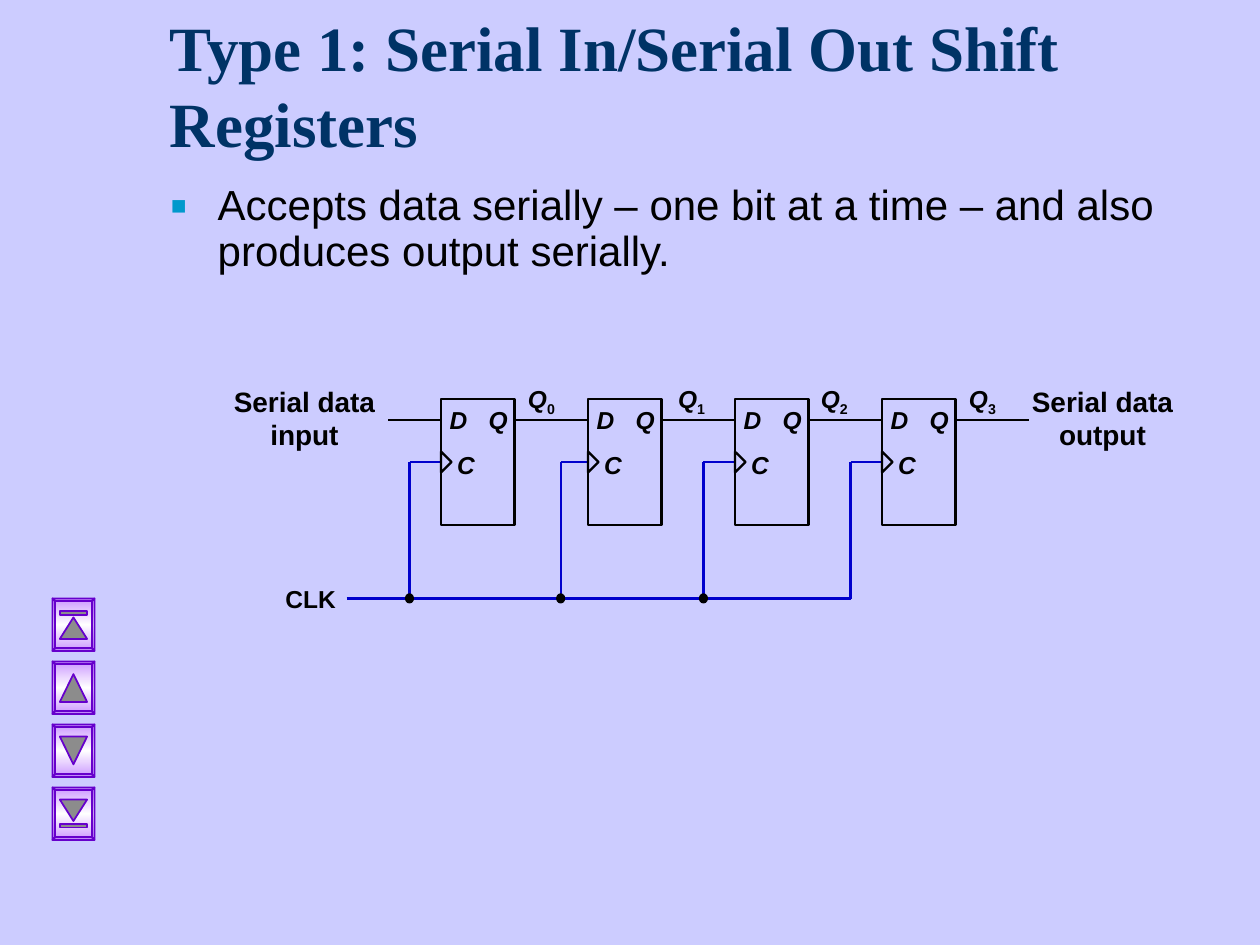
from copy import deepcopy

from lxml.etree import SubElement
from pptx import Presentation
from pptx.dml.color import RGBColor as RGB
from pptx.enum.shapes import MSO_CONNECTOR as Link, MSO_SHAPE as Kind
from pptx.enum.text import MSO_ANCHOR as Anchor, PP_ALIGN as Align
from pptx.oxml.ns import qn
from pptx.util import Inches, Pt

CELL = 1 / 12  # inches; every length below counts these cells
COLORS = {"back": "CCCCFF", "title": "003366", "ink": "000000", "bullet": "0099CC",
          "clock": "0000CC", "edge": "6600CC", "rim": "CC99FF", "shine": "FFFFFF",
          "icon": "8C8C8C"}

TITLE = "Type 1: Serial In/Serial Out Shift Registers"
BODY = "Accepts data serially – one bit at a time – and also produces output serially."
ENDS = [("Serial data input", 21), ("Serial data output", 97)]
PINS = [("D", -0.36, 38, 4.1), ("C", 0.36, 42.24, 4.1), ("Q", 3.36, 38, 4)]
TAPS = [39, 53.4, 67, 81]
OUTS = [49.1, 63.4, 77, 91.1]

# Flip-flops: first column, pitch, width, top row, height
LEFT, PITCH, WIDE, TOP, TALL = 42, 14, 7, 38, 12
DATA, PULSE, BUS = 40, 44, 57

# Buttons: outlines of each icon, from the button's top left corner
NAV_X, NAV_Y, NAV_STEP, NAV_W, NAV_H, BEVEL = 5, 57, 6, 4, 5, 0.25
ARROW = [(2, 1.2), (3.3, 3.85), (0.7, 3.85)]
SHORT = [(2, 1.8), (3.3, 3.85), (0.7, 3.85)]
BAR = [(0.7, 1.2), (3.3, 1.2), (3.3, 1.55), (0.7, 1.55)]

FONTS = {
    "title": {"name": "Times New Roman", "size": Pt(36), "bold": True},
    "body": {"name": "Arial", "size": Pt(24)},
    "end": {"name": "Arial", "size": Pt(16), "bold": True},
    "clk": {"name": "Arial", "size": Pt(14), "bold": True},
    "pin": {"name": "Arial", "size": Pt(14), "bold": True, "italic": True},
}


def cells(*nums):
    return [Inches(n * CELL) for n in nums]


def tint(name):
    return RGB.from_string(COLORS[name])


def style(font, look, color="ink"):
    for key, val in FONTS[look].items():
        setattr(font, key, val)
    font.color.rgb = tint(color)


def write(host, text, box, look, color="ink", wrap=False, sub=""):
    """Add a text box; sub is set as a subscript after the text."""
    frame = host.add_textbox(*cells(*box)).text_frame
    frame.word_wrap = wrap
    para = frame.paragraphs[0]
    for part in filter(None, (text, sub)):
        run = para.add_run()
        run.text = part
        style(run.font, look, color)
    if sub:
        run.font.italic = False
        run.font._element.set("baseline", "-25000")
    return frame


def edge(shape, color, width):
    shape.line.color.rgb = tint(color)
    shape.line.width = Pt(width)


def wire(host, ends, color="ink"):
    line = host.add_connector(Link.STRAIGHT, *cells(*ends))
    edge(line, color, 1.25)
    SubElement(line._element.spPr, qn("a:effectLst"))


def draw(host, kind, box, width, fill=None):
    shape = host.add_shape(kind, *cells(*box))
    shape.shadow.inherit = False
    if fill:
        shape.fill.solid()
        shape.fill.fore_color.rgb = tint(fill)
    else:
        shape.fill.background()
    edge(shape, "ink", width)
    return shape


def trace(host, loops, x, y):
    """Add one outline made of closed loops, shifted by x and y."""
    loops = [[cells(x + a, y + b) for a, b in loop] for loop in loops]
    pen = host.build_freeform(*loops[0][0], scale=1.0)
    for num, (start, *rest) in enumerate(loops):
        if num:
            pen.move_to(*start)
        pen.add_line_segments(rest, close=True)
    shape = pen.convert_to_shape()
    shape.shadow.inherit = False
    edge(shape, "edge", 1)
    return shape


def corners(gap):
    return [(gap, gap), (NAV_W - gap, gap),
            (NAV_W - gap, NAV_H - gap), (gap, NAV_H - gap)]


def button(host, icon, y):
    outer, inner = corners(0), corners(BEVEL)
    sides = [[outer[i - 1], outer[i], inner[i], inner[i - 1]] for i in range(4)]
    face = trace(host, sides + [inner], NAV_X, y)
    face.fill.gradient()
    face.fill.gradient_angle = 90
    stops = face._element.spPr.find(".//" + qn("a:gsLst"))
    stops.append(deepcopy(stops[0]))
    for stop, pos, name in zip(face.fill.gradient_stops, (0, 0.5, 1),
                               ("rim", "shine", "rim")):
        stop.position = pos
        stop.color.rgb = tint(name)
    mark = trace(host, icon, NAV_X, y)
    mark.fill.solid()
    mark.fill.fore_color.rgb = tint("icon")


def flip(loops):
    return [[(a, NAV_H - b) for a, b in loop] for loop in loops]


def bullet(para):
    props = para._p.get_or_add_pPr()
    props.set("marL", str(Inches(0.38)))
    props.set("indent", str(-Inches(0.38)))
    hue = SubElement(props, qn("a:buClr"))
    SubElement(hue, qn("a:srgbClr"), val=COLORS["bullet"])
    SubElement(props, qn("a:buSzPct"), val="120000")
    SubElement(props, qn("a:buFont"), typeface="Arial")
    SubElement(props, qn("a:buChar"), char="▪")
    para.line_spacing = 0.9


def circuit(host):
    wire(host, (33, BUS, TAPS[-1], BUS), "clock")
    wire(host, (37, DATA, LEFT, DATA))
    write(host, "CLK", (26, 55, 7.2, 4.1), "clk")
    for num, (tap, out) in enumerate(zip(TAPS, OUTS)):
        x = LEFT + num * PITCH
        wire(host, (x + WIDE, DATA, x + PITCH, DATA))
        wire(host, (tap, PULSE, x, PULSE), "clock")
        wire(host, (tap, PULSE, tap, BUS), "clock")
        if tap != TAPS[-1]:
            draw(host, Kind.OVAL, (tap - 0.38, BUS - 0.43, 0.75, 0.85), 0.75, "ink")
        draw(host, Kind.RECTANGLE, (x, TOP, WIDE, TALL), 1.5)
        draw(host, Kind.ISOSCELES_TRIANGLE, (x - 0.5, PULSE - 0.5, 2, 1), 1.25).rotation = 90
        for name, dx, y, wide in PINS:
            write(host, name, (x + dx, y, wide, 4.1), "pin")
        write(host, "Q", (out, 36, 5.4, 4.4), "pin", sub=str(num))
    for text, x in ENDS:
        frame = write(host, text, (x, 36, 16, 7.7), "end", wrap=True)
        frame.paragraphs[0].alignment = Align.CENTER


def main():
    deck = Presentation()
    deck.slide_width, deck.slide_height = Inches(10), Inches(7.5)
    slide = deck.slides.add_slide(deck.slide_layouts[6])
    slide.background.fill.solid()
    slide.background.fill.fore_color.rgb = tint("back")
    shapes = slide.shapes

    head = write(shapes, TITLE, (15, 3, 102, 10), "title", "title", wrap=True)
    head.vertical_anchor = Anchor.MIDDLE
    body = write(shapes, BODY, (15, 17, 101, 10), "body", wrap=True)
    bullet(body.paragraphs[0])
    circuit(shapes.add_group_shape().shapes)
    icons = [[SHORT, BAR], [ARROW], flip([ARROW]), flip([SHORT, BAR])]
    for row, icon in enumerate(icons):
        button(shapes, icon, NAV_Y + row * NAV_STEP)
    deck.save("out.pptx")


if __name__ == "__main__":
    main()
